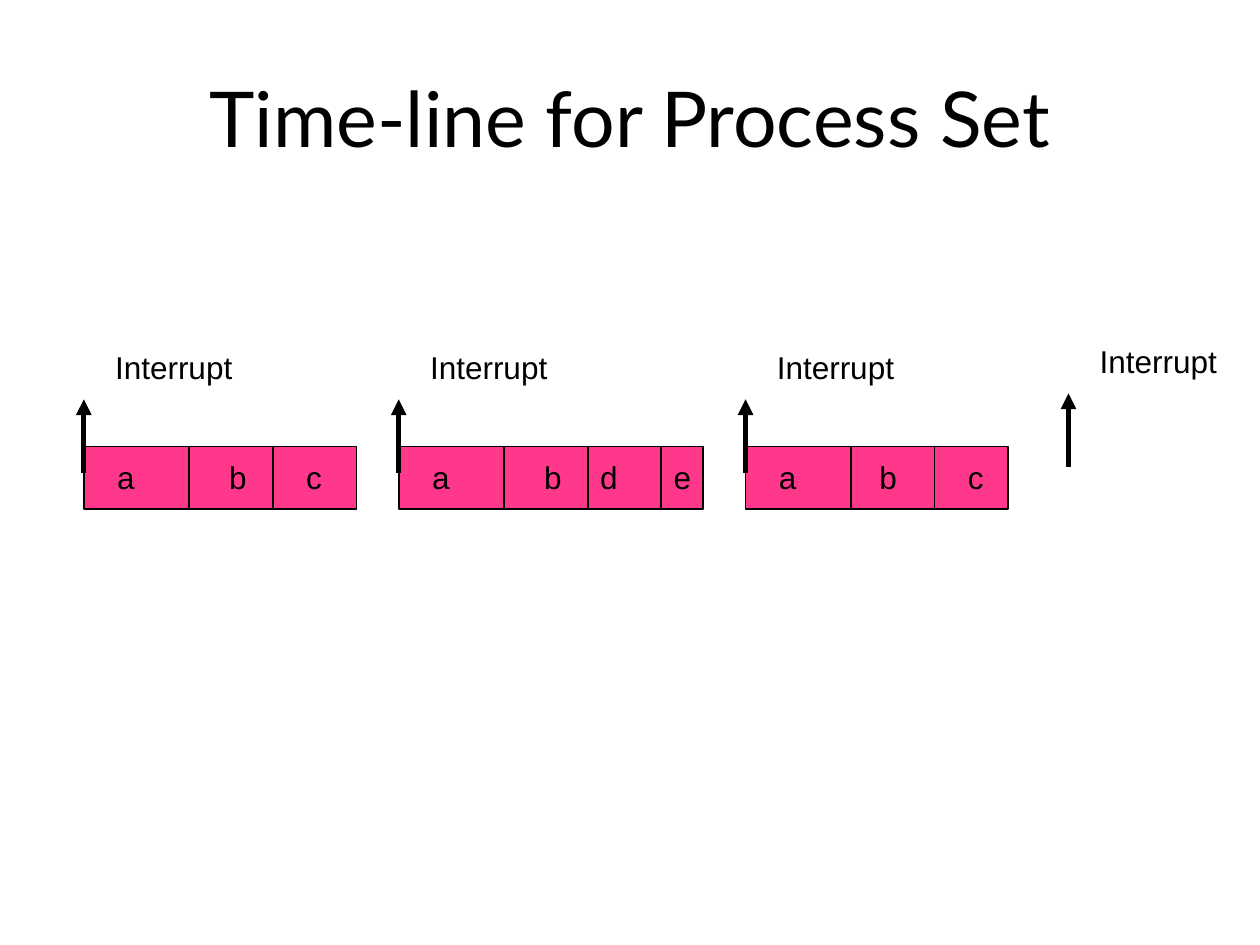
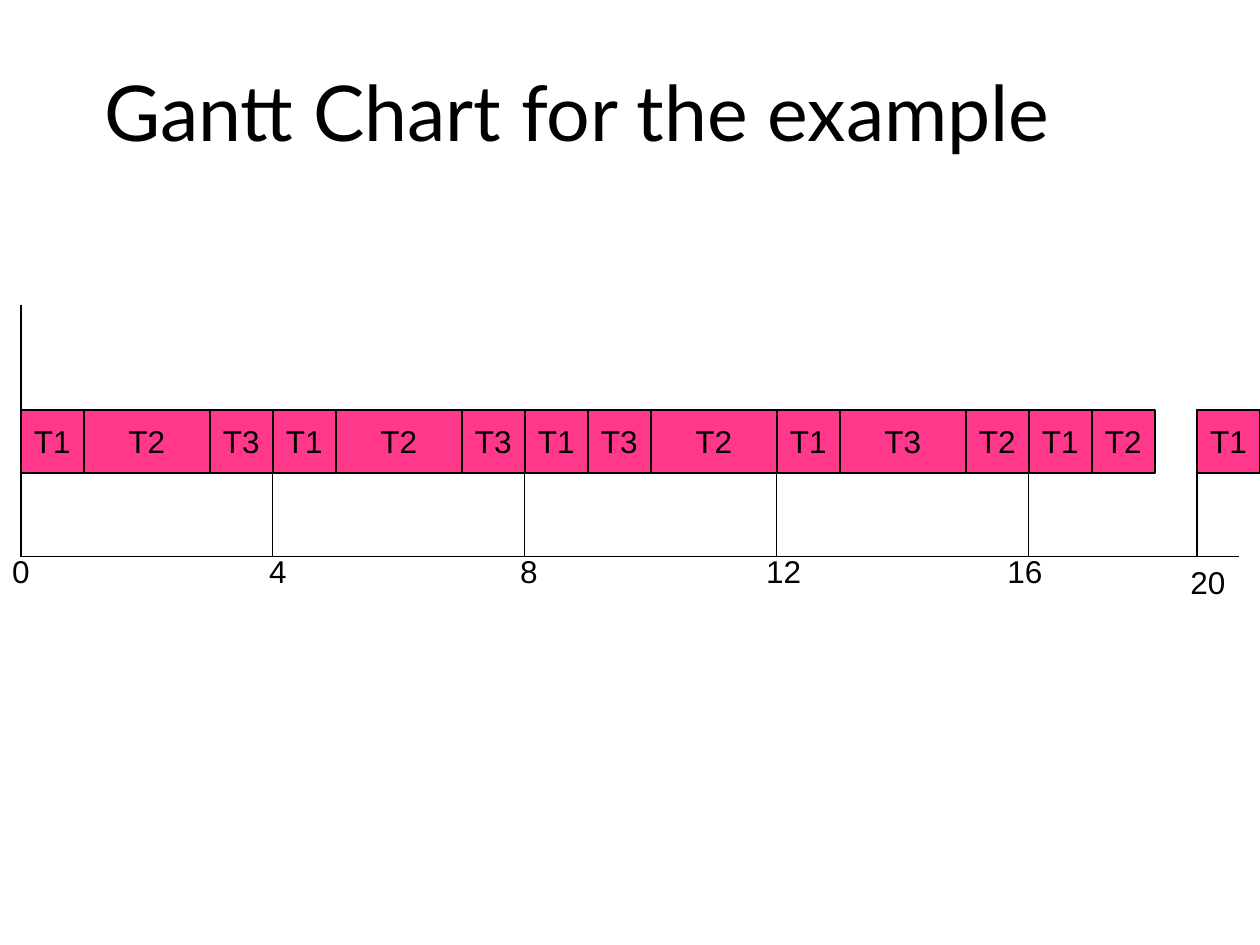
from lxml import etree
from pptx import Presentation
from pptx.dml.color import RGBColor
from pptx.enum import shapes, text
from pptx.oxml import ns
from pptx.util import Cm, Pt

PINK, BLACK = "FF388C", "000000"
BAR_H = 1.27


def put(s, string, x, y, w, h, fill=None, align="LEFT", anchor="TOP", size=18, color=BLACK):
    """Add a text box, or an outlined bar when a fill is given."""
    box = Cm(x), Cm(y), Cm(w), Cm(h)
    if fill:
        sp = s.shapes.add_shape(shapes.MSO_SHAPE.RECTANGLE, *box)
        sp.shadow.inherit = False
        sp.fill.solid()
        sp.fill.fore_color.rgb = RGBColor.from_string(fill)
        sp.line.color.rgb = RGBColor.from_string(BLACK)
        sp.line.width = Pt(1)
    else:
        sp = s.shapes.add_textbox(*box)
    if not string:
        return
    tf = sp.text_frame
    tf.word_wrap = True
    tf.vertical_anchor = text.MSO_ANCHOR[anchor]
    if align == "CENTER":
        tf.margin_left = tf.margin_right = 0
    p = tf.paragraphs[0]
    p.alignment = text.PP_ALIGN[align]
    r = p.add_run()
    r.text = string
    r.font.name, r.font.size = "Arial", Pt(size)
    r.font.color.rgb = RGBColor.from_string(color)


def draw_line(s, x1, y1, x2, y2, width=1, arrow=False):
    """Add a black line, with an arrowhead at its start if asked."""
    c = s.shapes.add_connector(shapes.MSO_CONNECTOR.STRAIGHT, Cm(x1), Cm(y1), Cm(x2), Cm(y2))
    c.line.color.rgb = RGBColor.from_string(BLACK)
    c.line.width = Pt(width)
    if arrow:
        etree.SubElement(c.line._get_or_add_ln(), ns.qn("a:headEnd"), type="triangle")
    etree.SubElement(c._element.spPr, ns.qn("a:effectLst"))


prs = Presentation()
prs.slide_width, prs.slide_height = Cm(25.4), Cm(19.05)

# Slides and their titles
titles = [("Time-line for Process Set", 1.27, 0.76), ("Gantt Chart for the example", 0.21, 0.64)]
for string, x, y in titles:
    s = prs.slides.add_slide(prs.slide_layouts[5])
    title = s.shapes.title
    title.left, title.top, title.width, title.height = Cm(x), Cm(y), Cm(22.86), Cm(3.18)
    tf = title.text_frame
    tf.vertical_anchor = text.MSO_ANCHOR.MIDDLE
    p = tf.paragraphs[0]
    p.alignment = text.PP_ALIGN.CENTER
    r = p.add_run()
    r.text = string
    r.font.name, r.font.size = "Lato", Pt(44)
    r.font.color.rgb = RGBColor.from_string(BLACK)
timeline, gantt = prs.slides

# Time-line: each run has a start, a width, dividers and process labels (offsets from the start)
BAR_Y = 9
runs = [
    (1.69, 5.5, [2.12, 3.81], {"a": 0.42, "b": 2.68, "c": 4.23}),
    (8.04, 6.14, [2.12, 3.81, 5.29], {"a": 0.42, "b": 2.68, "d": 3.81, "e": 5.29}),
    (15.03, 5.29, [2.12, 3.81], {"a": 0.42, "b": 2.45, "c": 4.23}),
]
for start, width, dividers, processes in runs:
    put(timeline, "", start, BAR_Y, width, BAR_H, fill=PINK)
    for dx in dividers:
        draw_line(timeline, start + dx, BAR_Y, start + dx, BAR_Y + BAR_H)
    for name, dx in processes.items():
        put(timeline, name, start + dx, BAR_Y + 0.1, 0.95, BAR_H)

# Interrupt arrows, the last one a little higher and without a run
interrupts = [(start, 8.05) for start, *_ in runs] + [(21.54, 7.93)]
for x, y in interrupts:
    draw_line(timeline, x, y, x, y + 1.48, width=3, arrow=True)
    put(timeline, "Interrupt", x + 0.38, y - 1.16, 3.48, BAR_H)

# Gantt chart: tasks with their lengths in time units
UNIT, ORIGIN, GANTT_Y, AXIS_Y = 1.27, 0.42, 8.26, 11.22
RESTART_X = 24.13
tasks = [("T1", 1), ("T2", 2), ("T3", 1), ("T1", 1), ("T2", 2), ("T3", 1), ("T1", 1),
         ("T3", 1), ("T2", 2), ("T1", 1), ("T3", 2), ("T2", 1), ("T1", 1), ("T2", 1)]
bars = []
time = 0
for name, length in tasks:
    bars.append((name, ORIGIN + time * UNIT, length * UNIT))
    time += length
bars.append(("T1", RESTART_X, UNIT))
for name, x, width in bars:
    put(gantt, name, x, GANTT_Y, width, BAR_H, fill=PINK, align="CENTER", anchor="MIDDLE")

# Axes, ticks and times (each label is nudged from its tick)
draw_line(gantt, ORIGIN, 6.14, ORIGIN, AXIS_Y)
draw_line(gantt, ORIGIN, AXIS_Y, 24.98, AXIS_Y)
nudges = {0: 0, 4: 0.1, 8: 0.08, 12: 0.14, 16: -0.08, 20: 0.22}
for time, nudge in nudges.items():
    x = RESTART_X if time == 20 else ORIGIN + time * UNIT
    if time:
        draw_line(gantt, x, GANTT_Y + BAR_H, x, AXIS_Y, width=0.75)
    label_y = AXIS_Y if time == 20 else 11
    put(gantt, str(time), x + nudge - 0.42, label_y, 0.84, 1.02, align="CENTER")

prs.save("out.pptx")
